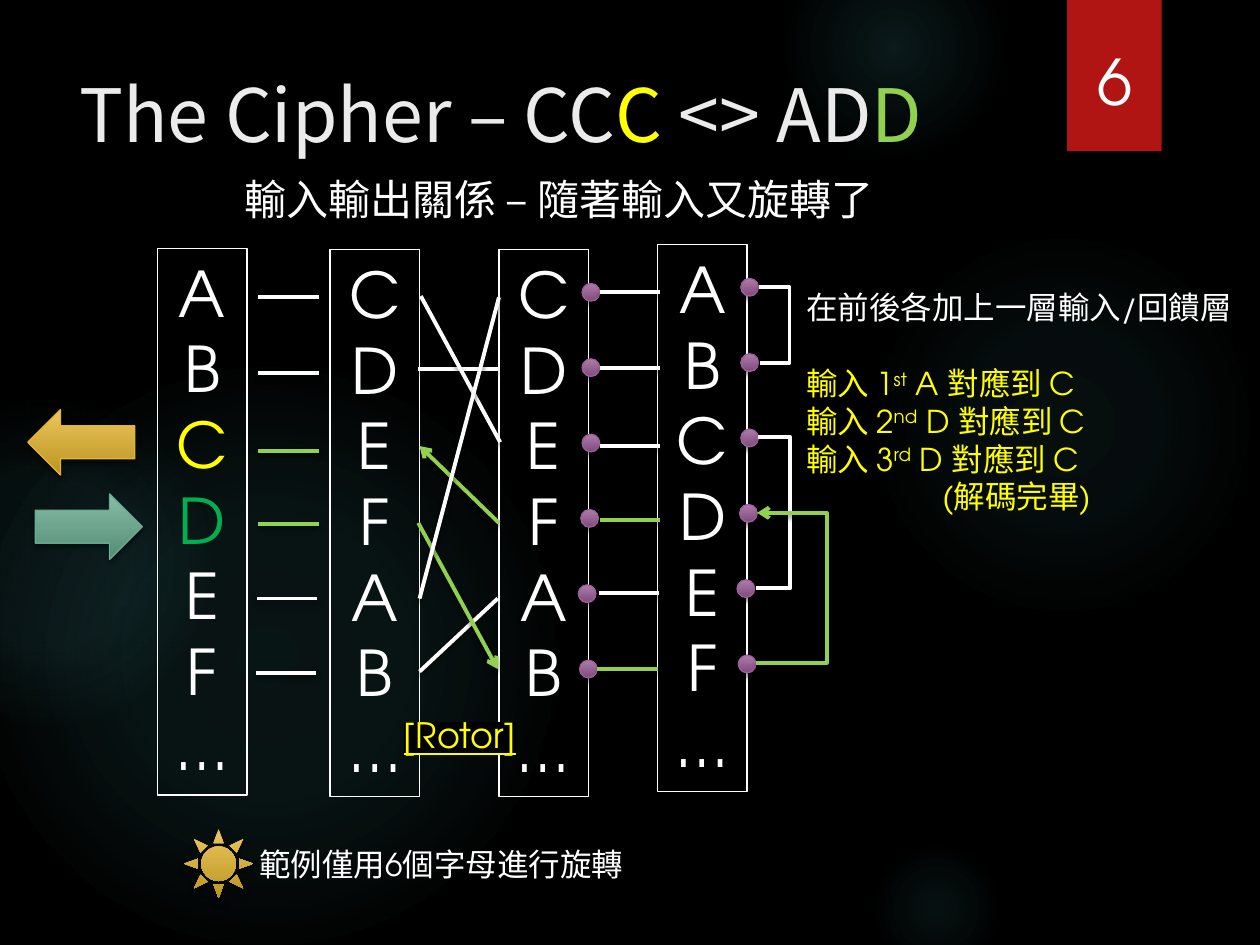
from dataclasses import dataclass
from typing import NamedTuple

from lxml import etree
from pptx import Presentation
from pptx import util as u
from pptx.dml.color import RGBColor
from pptx.enum import shapes, text
from pptx.oxml.ns import nsdecls, qn


@dataclass(frozen=True)
class Theme:
    white: str = "FFFFFF"
    black: str = "000000"
    title: str = "EBEBEB"
    yellow: str = "FFFF00"
    lime: str = "92D050"
    green: str = "00B050"
    red: str = "B01513"
    glow: str = "50B9C1"
    plum: tuple = ("AF7CAC", "7F4B7C", "9E5E9B")  # top, bottom, outline
    gold: tuple = ("EBC65F", "BB941F", "E6B729")
    teal: tuple = ("89BDA7", "538C74", "6AAC90")
    latin: str = "TeX Gyre Adventor"
    cjk: str = "Noto Sans CJK SC"
    title_size: float = 42
    letter_size: float = 36
    subtitle_size: float = 24
    rotor_size: float = 20
    body_size: float = 18
    wire_width: float = 2.25
    outline_width: float = 0.75


T = Theme()
KIND = shapes.MSO_SHAPE
SOFT = (45, 3, 2)  # shadow opacity, blur, distance


class Run(NamedTuple):
    words: str
    color: str = ""
    raised: bool = False


class Column(NamedTuple):
    left: float
    top: float
    letters: str
    colors: dict = {}


class Glow(NamedTuple):
    left: float
    top: float
    size: float
    stops: tuple  # (position, opacity)


class Wire(NamedTuple):
    start: tuple
    end: tuple
    color: str = T.white
    arrow: str = ""  # "headEnd" at the start, "tailEnd" at the end
    bend_x: float = 0


prs = Presentation()
prs.slide_width, prs.slide_height = u.Inches(10), u.Inches(7.5)
slide = prs.slides.add_slide(prs.slide_layouts[6])
slide.background.fill.solid()
slide.background.fill.fore_color.rgb = RGBColor.from_string(T.black)


def write(frame, paragraphs: list, *, size: float, color: str = T.white, font: str = T.latin,
          align=None, wrap: bool = True, underline: bool = False, highlight: str = "") -> None:
    """Each paragraph is a list of runs."""
    frame.word_wrap = wrap
    frame.vertical_anchor = text.MSO_ANCHOR.TOP
    for i, runs in enumerate(paragraphs):
        para = frame.paragraphs[0] if i == 0 else frame.add_paragraph()
        para.alignment = align or text.PP_ALIGN.LEFT
        for item in runs:
            run = para.add_run()
            run.text = item.words
            run.font.size, run.font.name = u.Pt(size), font
            run.font.color.rgb = RGBColor.from_string(item.color or color)
            props = run.font._element
            props.find(qn("a:latin")).addnext(
                etree.fromstring(f'<a:ea {nsdecls("a")} typeface="{T.cjk}"/>'))
            if underline:
                run.font.underline = True
            if item.raised:
                props.set("baseline", "30000")
            if highlight:
                props.find(qn("a:solidFill")).addnext(etree.fromstring(
                    f'<a:highlight {nsdecls("a")}><a:srgbClr val="{highlight}"/></a:highlight>'))


def label(left: float, top: float, width: float, height: float, paragraphs: list, **style):
    box = slide.shapes.add_textbox(*map(u.Inches, (left, top, width, height)))
    write(box.text_frame, paragraphs, **style)
    return box.text_frame


def cast_shadow(props, opacity: float, blur: float, distance: float) -> None:
    for old in props.findall(qn("a:effectLst")):
        props.remove(old)
    props.append(etree.fromstring(
        f'<a:effectLst {nsdecls("a")}><a:outerShdw blurRad="{u.Pt(blur)}" dist="{u.Pt(distance)}"'
        f' dir="5400000" rotWithShape="0"><a:srgbClr val="{T.black}">'
        f'<a:alpha val="{opacity * 1000}"/></a:srgbClr></a:outerShdw></a:effectLst>'))


def fill_gradient(shape, stops: list, direction: str) -> None:
    """Stops are (position, colour, opacity), all in percent."""
    marks = "".join(f'<a:gs pos="{pos * 1000}"><a:srgbClr val="{color}">'
                    f'<a:alpha val="{opacity * 1000}"/></a:srgbClr></a:gs>'
                    for pos, color, opacity in stops)
    shape.fill.background()
    props = shape._element.spPr
    props.replace(props.find(qn("a:noFill")), etree.fromstring(
        f'<a:gradFill {nsdecls("a")} rotWithShape="1"><a:gsLst>{marks}</a:gsLst>{direction}</a:gradFill>'))


def add_form(kind, left: float, top: float, width: float, height: float, *,
             fill: str = "", line: str = "", shadow: tuple = ()):
    form = slide.shapes.add_shape(kind, *map(u.Inches, (left, top, width, height)))
    form.shadow.inherit = False
    if fill:
        form.fill.solid()
        form.fill.fore_color.rgb = RGBColor.from_string(fill)
    else:
        form.fill.background()
    if line:
        form.line.color.rgb = RGBColor.from_string(line)
        form.line.width = u.Pt(T.outline_width)
    else:
        form.line.fill.background()
    if shadow:
        cast_shadow(form._element.spPr, *shadow)
    return form


def add_shaded(kind, left, top, width, height, tones: tuple, *, outlined=True, shadow=SOFT) -> None:
    form = add_form(kind, left, top, width, height, line=tones[2] if outlined else "", shadow=shadow)
    fill_gradient(form, [(0, tones[0], 100), (100, tones[1], 100)], '<a:lin ang="5400000" scaled="0"/>')


def add_glow(glow: Glow) -> None:
    form = add_form(KIND.OVAL, glow.left, glow.top, glow.size, glow.size)
    fill_gradient(form, [(pos, T.glow, opacity) for pos, opacity in glow.stops],
                  '<a:path path="circle"><a:fillToRect l="50000" t="50000" r="50000" b="50000"/></a:path>')


def add_wire(wire: Wire) -> None:
    kind = shapes.MSO_CONNECTOR.ELBOW if wire.bend_x else shapes.MSO_CONNECTOR.STRAIGHT
    joint = slide.shapes.add_connector(kind, *map(u.Inches, wire.start + wire.end))
    joint.line.color.rgb = RGBColor.from_string(wire.color)
    joint.line.width = u.Pt(T.wire_width)
    props = joint._element.spPr
    if wire.bend_x:
        share = (wire.bend_x - wire.start[0]) / (wire.end[0] - wire.start[0])
        guides = props.find(qn("a:prstGeom")).get_or_add_avLst()
        etree.SubElement(guides, qn("a:gd"), name="adj1", fmla=f"val {round(share * 100000)}")
    if wire.arrow:
        etree.SubElement(props.find(qn("a:ln")), qn(f"a:{wire.arrow}"), type="arrow")
    cast_shadow(props, *SOFT)


def add_column(column: Column) -> None:
    form = add_form(KIND.RECTANGLE, column.left, column.top, 0.71, 4.34, line=T.white)
    write(form.text_frame, [[Run(c, column.colors.get(c, ""))] for c in column.letters],
          size=T.letter_size, align=text.PP_ALIGN.CENTER, wrap=False)


# Backdrop glows and page tab
for glow in (Glow(6.89, 1.83, 3.08, ((0, 7), (36, 6), (69, 0))),
             Glow(6.22, -0.5, 1.75, ((0, 14), (36, 7), (73, 0))),
             Glow(6.89, 6.67, 1.08, ((0, 9), (36, 5), (66, 0))),
             Glow(-0.17, 2.92, 4.58, ((0, 11), (36, 10), (75, 0))),
             Glow(-0.92, 3.17, 2.58, ((0, 8), (36, 8), (72, 0)))):
    add_glow(glow)
add_form(KIND.RECTANGLE, 8.47, 0, 0.75, 1.2, fill=T.red, shadow=SOFT)
label(8.61, 0.29, 0.48, 0.71, [[Run("6")]], size=T.letter_size, wrap=False)

# Headings
label(0.53, 0.5, 8.08, 1.53, [[Run("The Cipher – CC"), Run("C", T.yellow), Run(" <> AD"), Run("D", T.lime)]],
      size=T.title_size, color=T.title, font=T.cjk)
label(1.84, 1.33, 7.95, 0.5, [[Run("輸入輸出關係 – 隨著輸入又旋轉了")]], size=T.subtitle_size)

# Letter columns
for column in (Column(2.62, 1.98, "CDEFAB…"), Column(3.96, 1.98, "CDEFAB…"),
               Column(1.25, 1.97, "ABCDEF…", {"C": T.yellow, "D": T.green}),
               Column(5.22, 1.94, "ABCDEF…")):
    add_column(column)

# Contacts on the right edge of the last two columns
for left, top in ((4.62, 2.25), (5.88, 2.21)):
    for row, shift in enumerate((0, 0, 0, -0.01, -0.03, -0.02)):
        add_shaded(KIND.OVAL, left + shift, top + row * 0.598, 0.14, 0.14, T.plum)

# Rotor wiring, feedback loops, then the level wires between columns
wires = [Wire((3.33, 5.33), (3.95, 4.75)), Wire((3.32, 2.93), (3.95, 2.93)),
         Wire((3.96, 4.15), (3.33, 3.54), T.lime, "tailEnd"), Wire((3.34, 2.35), (3.97, 3.51)),
         Wire((3.95, 5.31), (3.32, 4.15), T.lime, "headEnd"), Wire((3.96, 2.36), (3.33, 4.75)),
         Wire((6.02, 2.28), (6.03, 2.88), bend_x=6.27), Wire((6.02, 3.47), (6, 4.67), bend_x=6.27),
         Wire((6.01, 4.07), (6, 5.26), T.lime, "headEnd", 6.57)]
for left, heights, live_rows in ((4.76, (2.32, 2.92, 3.54, 4.13, 4.71, 5.31), (3, 5)),
                                 (2.05, (2.36, 2.96, 3.58, 4.16, 4.75, 5.34), (2, 3))):
    for row, y in enumerate(heights):
        x = left - 0.01 * max(0, row - 3)
        wires.append(Wire((x, y), (x + 0.48, y), T.lime if row in live_rows else T.white))
for wire in wires:
    add_wire(wire)

# Input and output arrows, note marker
add_shaded(KIND.RIGHT_ARROW, 0.28, 3.92, 0.85, 0.52, T.teal)
add_shaded(KIND.LEFT_ARROW, 0.22, 3.25, 0.85, 0.52, T.gold)
add_shaded(KIND.SUN, 1.46, 6.58, 0.55, 0.55, T.gold, outlined=False, shadow=(60, 5, 3))

# Notes
mappings = [[Run(f"輸入 {number}", T.yellow), Run(suffix, T.yellow, True), Run(f" {letter} 對應到 C", T.yellow)]
            for number, suffix, letter in ((1, "st", "A"), (2, "nd", "D"), (3, "rd", "D"))]
notes = label(6.3, 2.24, 3.7, 2.52, [[Run("在前後各加上一層輸入/回饋層")], *mappings,
                                     [Run("(解碼完畢)", T.yellow)]], size=T.body_size)
notes.paragraphs[1].space_before = u.Pt(21.6)
notes.paragraphs[-1]._p.get_or_add_pPr().set("marL", str(u.Inches(1.08)))
label(1.96, 6.66, 6.38, 0.4, [[Run("範例僅用6個字母進行旋轉")]], size=T.body_size)
label(3.09, 5.61, 1.12, 0.44, [[Run("[Rotor]")]], size=T.rotor_size, color=T.yellow,
      align=text.PP_ALIGN.CENTER, underline=True, highlight=T.black)

prs.save("out.pptx")
